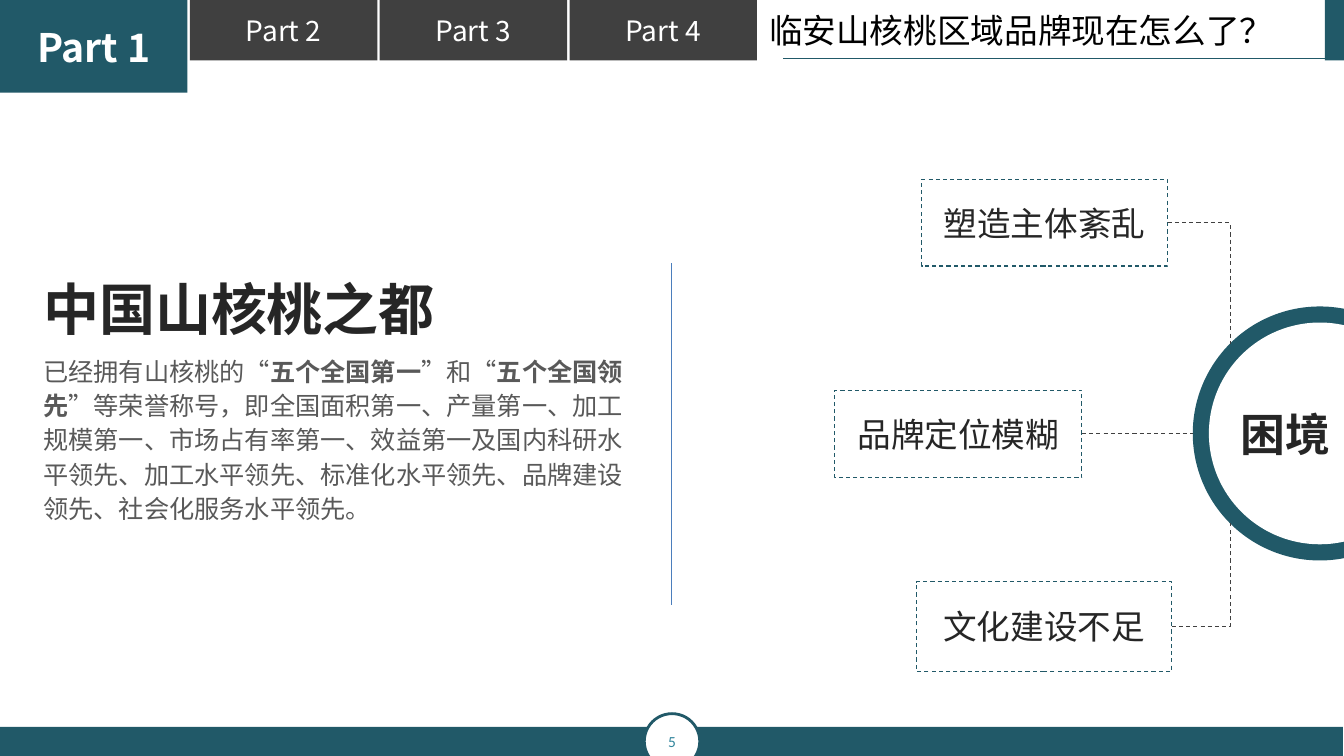
"""Build the slide on the difficulties of the Lin'an hickory regional brand."""
from pptx import Presentation
from pptx.dml.color import RGBColor
from pptx.enum.dml import MSO_LINE
from pptx.enum.shapes import MSO_CONNECTOR, MSO_SHAPE
from pptx.enum.text import MSO_ANCHOR, PP_ALIGN
from pptx.oxml.ns import qn
from pptx.util import Inches, Pt

RECTANGLE, OVAL = MSO_SHAPE.RECTANGLE, MSO_SHAPE.OVAL
STRAIGHT, ELBOW = MSO_CONNECTOR.STRAIGHT, MSO_CONNECTOR.ELBOW
DASH = MSO_LINE.DASH
LEFT, CENTER = PP_ALIGN.LEFT, PP_ALIGN.CENTER
TOP, MIDDLE = MSO_ANCHOR.TOP, MSO_ANCHOR.MIDDLE
TEAL, DARK, INK, GREY, WHITE = "215968", "404040", "262626", "595959", "FFFFFF"
CJK_FONT = "Noto Sans CJK SC"

color = RGBColor.from_string

deck = Presentation()
deck.slide_width, deck.slide_height = Inches(13.33), Inches(7.5)
page = deck.slides.add_slide(deck.slide_layouts[6])


def add_box(place, spans=(), kind=None, fill=None, line=None, dash=None, width=0.75,
            size=24, ink=INK, font=CJK_FONT, align=CENTER, anchor=MIDDLE, wrap=True, spacing=None):
    """Add a shape, or a text box when no kind is given, with (text, bold) spans."""
    area = [Inches(value) for value in place]
    if kind is None:
        box = page.shapes.add_textbox(*area)
    else:
        box = page.shapes.add_shape(kind, *area)
        box.shadow.inherit = False
        box.fill.solid()
        box.fill.fore_color.rgb = color(fill)
        if line:
            box.line.color.rgb = color(line)
            box.line.width = Pt(width)
            box.line.dash_style = dash
        else:
            box.line.fill.background()
    frame = box.text_frame
    frame.word_wrap, frame.vertical_anchor = wrap, anchor
    para = frame.paragraphs[0]
    para.alignment, para.line_spacing = align, spacing
    for text, bold in spans:
        span = para.add_run()
        span.text = text
        for name, value in {"name": font, "size": Pt(size), "bold": bold}.items():
            setattr(span.font, name, value)
        span.font.color.rgb = color(ink)
        properties = span._r.get_or_add_rPr()
        properties.append(properties.makeelement(qn("a:ea"), {"typeface": font}))


def add_line(points, ink=DARK, dash=None, kind=STRAIGHT):
    """Add a thin line; an elbow runs across first and then up or down."""
    link = page.shapes.add_connector(kind, *[Inches(value) for value in points])
    link.line.color.rgb = color(ink)
    link.line.width = Pt(0.75)
    link.line.dash_style = dash
    outline = link._element.spPr
    outline.append(outline.makeelement(qn("a:effectLst"), {}))
    if kind == ELBOW:
        outline.find(qn("a:prstGeom")).set("prst", "bentConnector2")


add_box((0, 0, 1.86, 0.92), [("Part 1", True)], RECTANGLE, TEAL, size=28, ink=WHITE)
for index in range(1, 4):
    add_box((1.883 * index, 0, 1.86, 0.6), [(f"Part {index + 1}", False)],
            RECTANGLE, DARK, size=20, ink=WHITE)
add_box((13.14, 0, 0.2, 0.6), kind=RECTANGLE, fill=TEAL)
add_box((0, 7.21, 13.32, 0.29), kind=RECTANGLE, fill=TEAL)
add_box((6.39, 7.08, 0.55, 0.55), [("5", False)], OVAL, WHITE, TEAL, width=2,
        size=11, ink="31859C", font="Calibri")
add_line((13.24, 0.58, 7.77, 0.58), TEAL)
add_box((7.53, 0.05, 5.51, 0.5), [("临安山核桃区域品牌现在怎么了？", False)],
        ink="000000", align=LEFT, anchor=TOP)

add_box((11.83, 3.04, 2.52, 2.52), kind=OVAL, fill=TEAL)
problems = [
    ("塑造主体紊乱", (9.14, 1.78, 2.44, 0.86)),
    ("品牌定位模糊", (8.28, 3.87, 2.45, 0.87)),
    ("文化建设不足", (9.09, 5.77, 2.53, 0.89)),
]
for label, place in problems:
    add_box(place, [(label, False)], RECTANGLE, WHITE, TEAL, DASH)
add_line((10.73, 4.3, 11.83, 4.3), dash=DASH)
add_line((11.58, 2.21, 12.2, 3.41), dash=DASH, kind=ELBOW)
add_line((11.62, 6.22, 12.2, 5.19), dash=DASH, kind=ELBOW)
add_box((11.99, 3.2, 2.2, 2.2), kind=OVAL, fill=WHITE)
add_box((12.16, 3.99, 1.18, 0.64), [("困境", True)], size=32, anchor=TOP)

add_line((6.66, 2.61, 6.66, 6), "4B7EBC")
honours = [
    ("已经拥有山核桃的“", False),
    ("五个全国第一", True),
    ("”和“", False),
    ("五个全国领先", True),
    ("”等荣誉称号，即全国面积第一、产量第一、加工规模第一、市场占有率第一、效益第一及"
     "国内科研水平领先、加工水平领先、标准化水平领先、品牌建设领先、社会化服务水平领先。", False),
]
add_box((0.33, 3.44, 6.02, 1.83), honours, size=18, ink=GREY, align=LEFT, anchor=TOP, spacing=1.14)
add_box((0.33, 2.67, 4.13, 0.77), [("中国山核桃之都", True)], size=40,
        align=LEFT, anchor=TOP, wrap=False)

deck.save("out.pptx")
